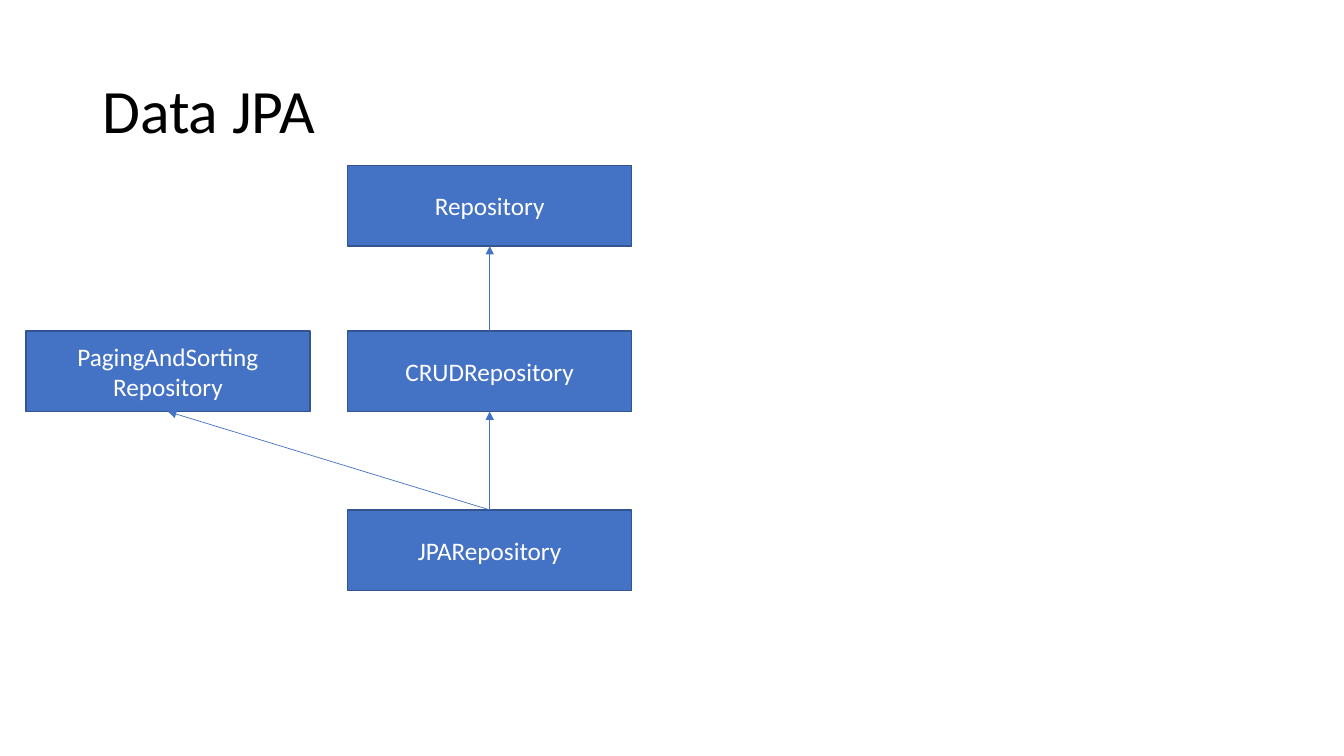
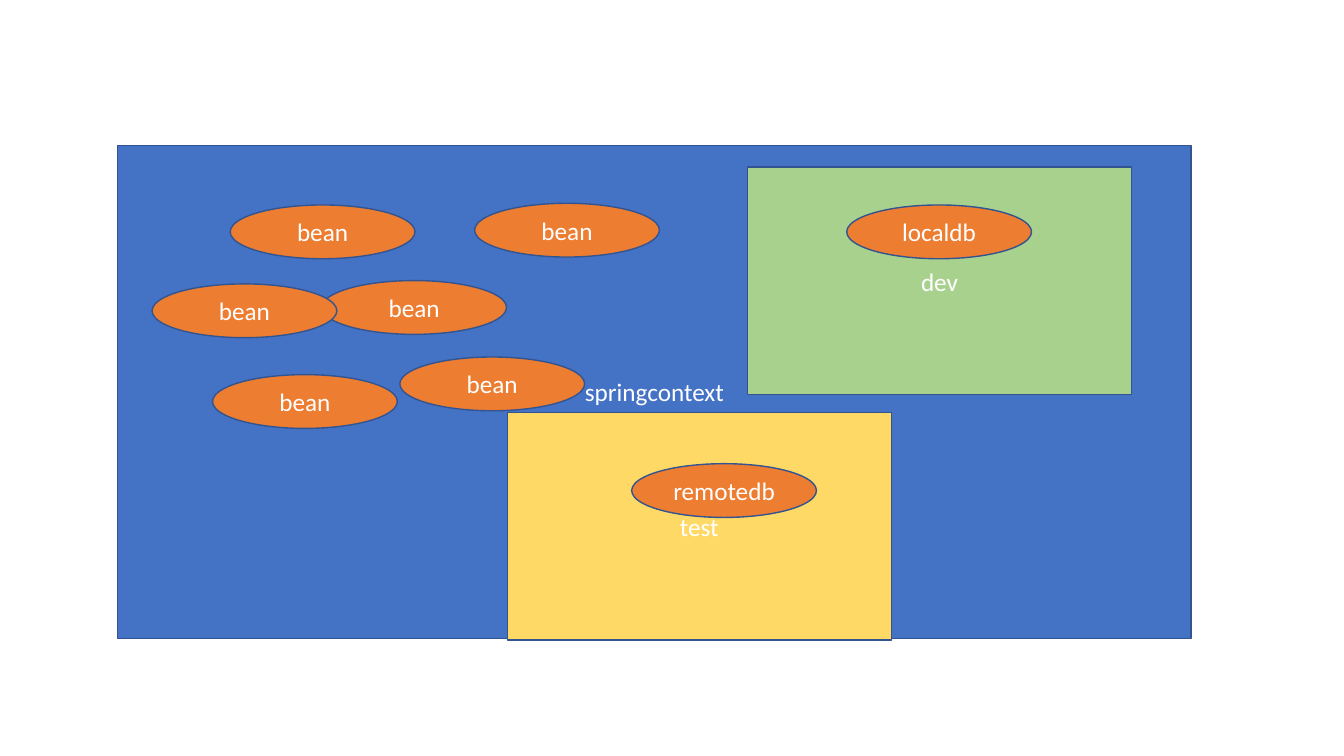
import pptx
import pptx.util
import pptx.dml.color
import pptx.enum.shapes
import pptx.enum.text
import pptx.oxml
import pptx.oxml.ns
import lxml.etree

COLUMNS, ROWS = 16, 9
CELL = pptx.util.Inches(7.5 / ROWS)
FONT = "Calibri"
BLUE, OUTLINE, ORANGE = "4472C4", "325491", "ED7D31"
GREEN, YELLOW, WHITE, BLACK = "A9D18E", "FFD966", "FFFFFF", "000000"
RECTANGLE = pptx.enum.shapes.MSO_SHAPE.RECTANGLE
OVAL = pptx.enum.shapes.MSO_SHAPE.OVAL
LEFT = pptx.enum.text.PP_ALIGN.LEFT
CENTER = pptx.enum.text.PP_ALIGN.CENTER
TOP_SITE, BOTTOM_SITE = 0, 2
REPOSITORY_SIZE = (3.38, 0.96)
BEAN_SIZE = (2.2, 0.64)
PROFILE_SIZE = (4.57, 2.71)


def color(value):
    return pptx.dml.color.RGBColor.from_string(value)


def grid(*cells):
    return [pptx.util.Emu(round(cell * CELL)) for cell in cells]


def write(shape, text, size=18, fill=WHITE, align=CENTER, spacing=1.0):
    frame = shape.text_frame
    frame.word_wrap = True
    frame.vertical_anchor = pptx.enum.text.MSO_ANCHOR.MIDDLE
    frame.text = text
    for paragraph in frame.paragraphs:
        paragraph.alignment = align
        paragraph.line_spacing = spacing
        for run in paragraph.runs:
            run.font.name = FONT
            run.font.size = pptx.util.Pt(size)
            run.font.color.rgb = color(fill)


def add_title(slide, text):
    box = slide.shapes.add_textbox(*grid(1.1, 0.48, 13.8, 1.74))
    write(box, text, size=44, fill=BLACK, align=LEFT, spacing=0.9)


def add_node(slide, text, position, size, kind=RECTANGLE, fill=BLUE):
    shape = slide.shapes.add_shape(kind, *grid(*position, *size))
    shape.shadow.inherit = False
    shape.fill.solid()
    shape.fill.fore_color.rgb = color(fill)
    shape.line.color.rgb = color(OUTLINE)
    shape.line.width = pptx.util.Pt(1)
    write(shape, text)
    return shape


def add_bean(slide, text, position):
    return add_node(slide, text, position, BEAN_SIZE, OVAL, ORANGE)


def add_arrow(slide, child, parent):
    connector = slide.shapes.add_connector(
        pptx.enum.shapes.MSO_CONNECTOR.STRAIGHT, 0, 0, 0, 0)
    connector.begin_connect(child, TOP_SITE)
    connector.end_connect(parent, BOTTOM_SITE)
    connector.line.color.rgb = color(BLUE)
    connector.line.width = pptx.util.Pt(0.5)
    name = pptx.oxml.ns.qn
    line = connector.line._get_or_add_ln()
    lxml.etree.SubElement(line, name("a:tailEnd"), type="triangle")
    lxml.etree.SubElement(connector._element.spPr, name("a:effectLst"))


def build_repositories(slide):
    add_title(slide, "Data JPA")
    column = 4.14
    repository, crud, jpa, paging = [
        add_node(slide, text, position, REPOSITORY_SIZE)
        for text, position in [
            ("Repository", (column, 1.97)),
            ("CRUDRepository", (column, 3.94)),
            ("JPARepository", (column, 6.07)),
            ("PagingAndSorting\nRepository", (0.31, 3.94)),
        ]
    ]
    for child, parent in [(jpa, crud), (crud, repository), (jpa, paging)]:
        add_arrow(slide, child, parent)


def build_context(slide):
    add_node(slide, "springcontext", (1.4, 1.73), (12.78, 5.87))
    for position in [(3.83, 3.34), (2.74, 2.44), (1.81, 3.38),
                     (4.76, 4.25), (2.53, 4.46), (5.65, 2.42)]:
        add_bean(slide, "bean", position)
    add_node(slide, "dev", (8.9, 1.99), PROFILE_SIZE, fill=GREEN)
    add_node(slide, "test", (6.04, 4.91), PROFILE_SIZE, fill=YELLOW)
    add_bean(slide, "localdb", (10.08, 2.44))
    add_bean(slide, "remotedb", (7.52, 5.52))


def main():
    presentation = pptx.Presentation()
    presentation.slide_width, presentation.slide_height = grid(COLUMNS, ROWS)
    blank = presentation.slide_layouts[6]
    for build in (build_repositories, build_context):
        build(presentation.slides.add_slide(blank))
    presentation.save("out.pptx")


main()
